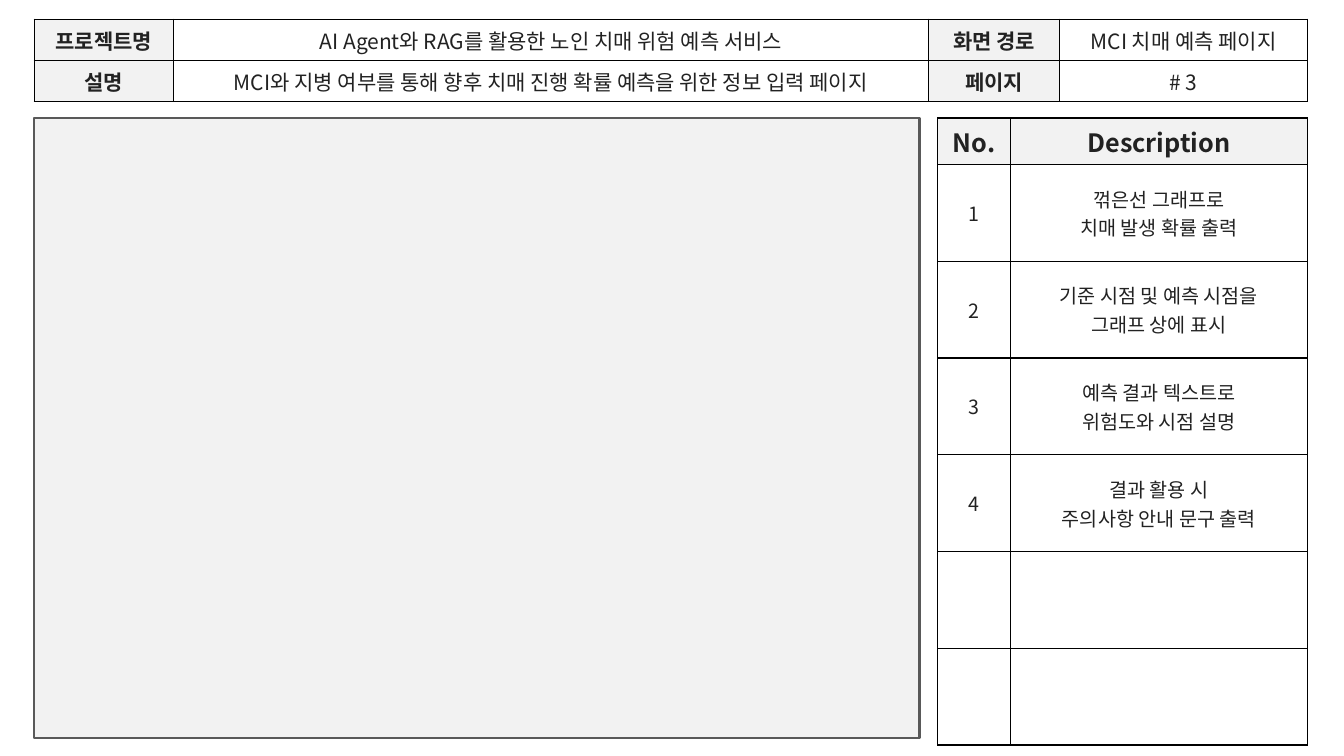
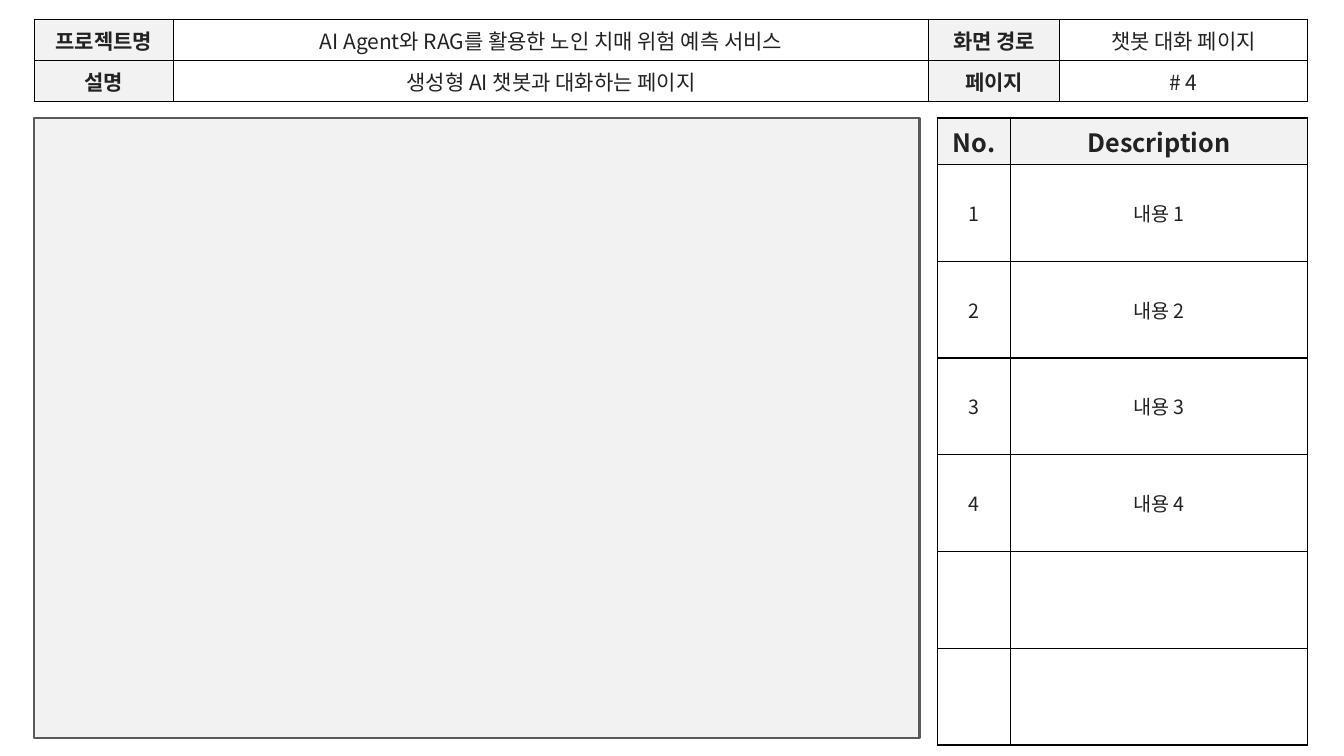
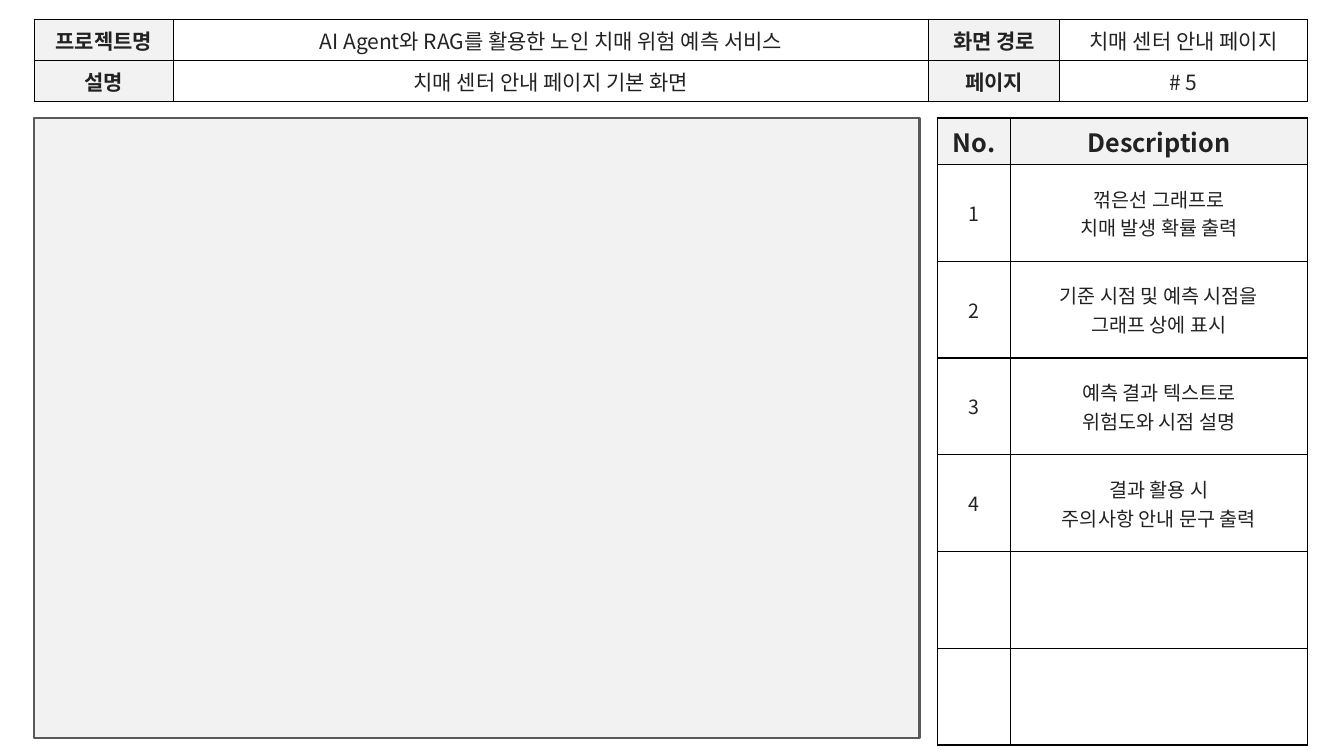
from lxml import etree
from pptx import Presentation
from pptx import util as u
from pptx.dml.color import RGBColor
from pptx.enum import shapes, text
from pptx.oxml.ns import qn

# Shared style
FONT = "Noto Sans CJK KR"
INK, BLACK, PANEL, FRAME = "222222", "000000", "F2F2F2", "595959"

# Shared layout, in inches
LEFT, RIGHT, HEADER_TOP, BODY_TOP, BODY_HEIGHT = 0.34, 12.97, 0.19, 1.17, 6.15
HEADER_COLUMNS = [1.38, 7.49, 1.3, 2.46]
HEADER_ROWS = [0.41] * 2
NOTE_COLUMNS = [0.72, 2.95]
NOTE_ROWS = [0.41] + [0.96] * 6
NOTE_LEFT = RIGHT - sum(NOTE_COLUMNS)
GAP = 0.18

# Content
PROJECT = "AI Agent와 RAG를 활용한 노인 치매 위험 예측 서비스"
PREDICTION_NOTES = [
    "꺾은선 그래프로\n치매 발생 확률 출력",
    "기준 시점 및 예측 시점을\n그래프 상에 표시",
    "예측 결과 텍스트로\n위험도와 시점 설명",
    "결과 활용 시\n주의사항 안내 문구 출력",
]
CHAT_NOTES = [f"내용 {number}" for number in range(1, 5)]
PAGES = [
    dict(number=3, route="MCI 치매 예측 페이지", notes=PREDICTION_NOTES,
         summary="MCI와 지병 여부를 통해 향후 치매 진행 확률 예측을 위한 정보 입력 페이지"),
    dict(number=4, route="챗봇 대화 페이지", notes=CHAT_NOTES,
         summary="생성형 AI 챗봇과 대화하는 페이지"),
    dict(number=5, route="치매 센터 안내 페이지", notes=PREDICTION_NOTES,
         summary="치매 센터 안내 페이지 기본 화면"),
]


def color(value):
    return RGBColor.from_string(value)


def add_borders(cell):
    properties = cell._tc.get_or_add_tcPr()
    for index, side in enumerate(("lnL", "lnR", "lnT", "lnB")):
        line = etree.Element(qn(f"a:{side}"), w=str(u.Pt(1)))
        fill = etree.SubElement(line, qn("a:solidFill"))
        etree.SubElement(fill, qn("a:srgbClr"), val=BLACK)
        properties.insert(index, line)


def write_cell(cell, content, size, label):
    if label:
        cell.fill.solid()
        cell.fill.fore_color.rgb = color(PANEL)
    else:
        cell.fill.background()
    add_borders(cell)
    cell.vertical_anchor = text.MSO_ANCHOR.MIDDLE
    if not content:
        return
    frame = cell.text_frame
    for index, words in enumerate(content.split("\n")):
        paragraph = frame.add_paragraph() if index else frame.paragraphs[0]
        paragraph.alignment = text.PP_ALIGN.CENTER
        run = paragraph.add_run()
        run.text = words
        run.font.size = u.Pt(size)
        run.font.bold = label
        run.font.color.rgb = color(INK)
        run.font.name = FONT
        etree.SubElement(run._r.get_or_add_rPr(), qn("a:ea"), typeface=FONT)


def add_grid(slide, left, top, columns, rows, cells, is_label, label_size, body_size):
    table = slide.shapes.add_table(
        len(rows), len(columns), u.Inches(left), u.Inches(top),
        u.Inches(sum(columns)), u.Inches(sum(rows))).table
    table.first_row = table.horz_banding = False
    for column, width in zip(table.columns, columns):
        column.width = u.Inches(width)
    for row, height in zip(table.rows, rows):
        row.height = u.Inches(height)
    for r, values in enumerate(cells):
        for c, content in enumerate(values):
            label = is_label(r, c)
            write_cell(table.cell(r, c), content, label_size if label else body_size, label)


def add_notes_table(slide, notes):
    numbered = [(str(number), note) for number, note in enumerate(notes, 1)]
    spare = [("", "")] * (len(NOTE_ROWS) - 1 - len(notes))
    add_grid(slide, NOTE_LEFT, BODY_TOP, NOTE_COLUMNS, NOTE_ROWS,
             [("No.", "Description")] + numbered + spare,
             lambda r, c: r == 0, 18, 14)


def add_screen_area(slide):
    area = slide.shapes.add_shape(
        shapes.MSO_SHAPE.RECTANGLE, u.Inches(LEFT), u.Inches(BODY_TOP),
        u.Inches(NOTE_LEFT - GAP - LEFT), u.Inches(BODY_HEIGHT))
    area.shadow.inherit = False
    area.fill.solid()
    area.fill.fore_color.rgb = color(PANEL)
    area.line.color.rgb = color(FRAME)
    area.line.width = u.Pt(1.5)


def add_header_table(slide, page):
    cells = [("프로젝트명", PROJECT, "화면 경로", page["route"]),
             ("설명", page["summary"], "페이지", f"# {page['number']}")]
    add_grid(slide, LEFT, HEADER_TOP, HEADER_COLUMNS, HEADER_ROWS, cells,
             lambda r, c: c % 2 == 0, 15, 15)


def main():
    presentation = Presentation()
    presentation.slide_width = u.Inches(13.33)
    presentation.slide_height = u.Inches(7.5)
    for page in PAGES:
        slide = presentation.slides.add_slide(presentation.slide_layouts[6])
        add_notes_table(slide, page["notes"])
        add_screen_area(slide)
        add_header_table(slide, page)
    presentation.save("out.pptx")


if __name__ == "__main__":
    main()
